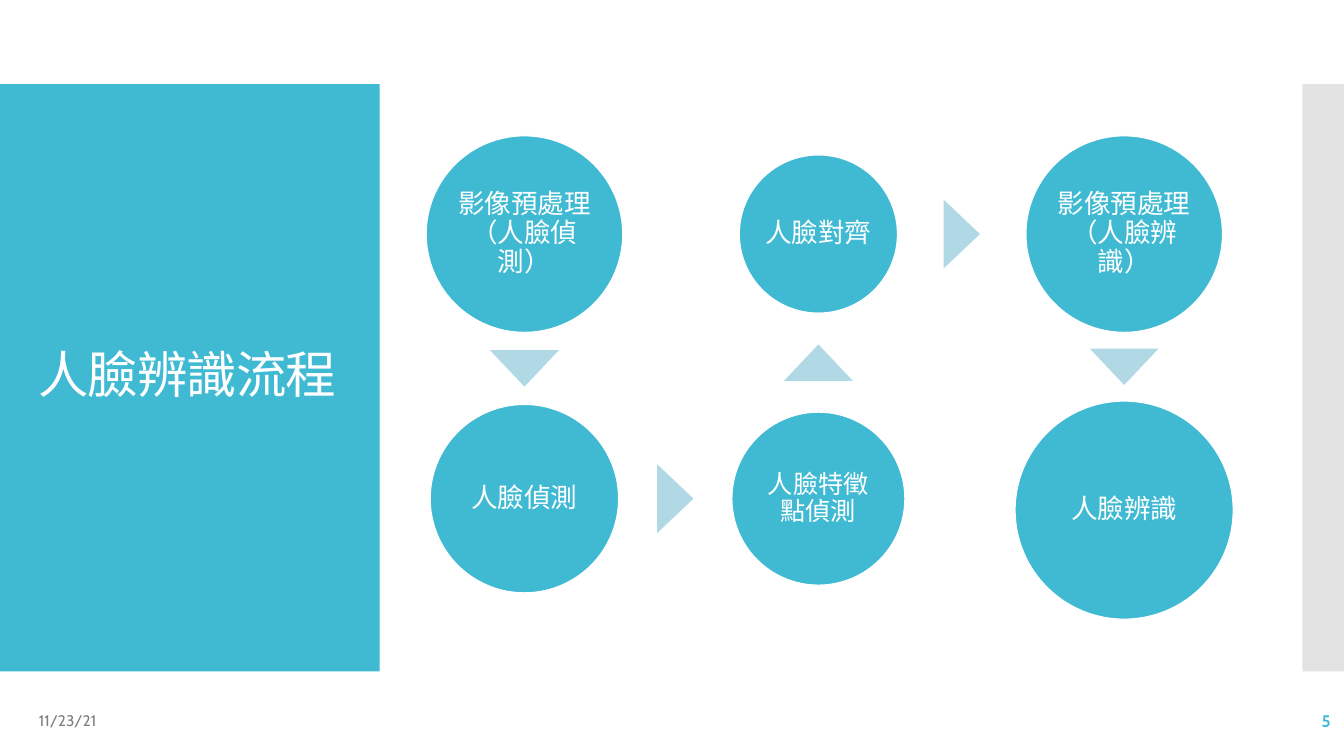
import pptx
import pptx.util
import pptx.dml.color
import pptx.enum.shapes
import pptx.enum.text
import pptx.oxml.ns
import lxml.etree

Pt = pptx.util.Pt
Shape = pptx.enum.shapes.MSO_SHAPE
Align = pptx.enum.text.PP_ALIGN

# Content
TITLE = "人臉辨識流程"
DATE = "11/23/21"
PAGE_NUMBER = "5"
# Steps in flow order: text, column, row, diameter, type size, inset
STEPS = [
    ("影像預處理\n（人臉偵測）", 0, 0, 140.4, 19, 2),
    ("人臉偵測", 0, 1, 134.6, 19, 2),
    ("人臉特徵點偵測", 1, 1, 123.6, 18, 3.5),
    ("人臉對齊", 1, 0, 113, 19, 2),
    ("影像預處理\n（人臉辨識）", 2, 0, 140.4, 19, 2),
    ("人臉辨識", 2, 1, 155.8, 19, 2),
]


class Theme:
    font = "Cabin"
    accent = "40BAD2"
    arrow = "B0D9E5"
    side = "C8C8C8"
    white = "FFFFFF"
    muted = "808080"
    title_size, date_size, number_size = 36, 11, 12


# Layout, in points
PAGE_WIDTH, PAGE_HEIGHT = 960, 540
PANEL_TOP, PANEL_HEIGHT = 60, 419.5
COLUMN_CENTERS = (374.6, 584.6, 803)
ROW_CENTERS = (167.2, 356.2)
LAST_CENTER = 364.4
ARROW_WIDTH, ARROW_HEIGHT = 49.2, 26


def color(value):
    return pptx.dml.color.RGBColor.from_string(value)


def add_shape(page, kind, left, top, width, height, fill):
    shape = page.shapes.add_shape(kind, Pt(left), Pt(top), Pt(width), Pt(height))
    shape.shadow.inherit = False
    shape.fill.solid()
    shape.fill.fore_color.rgb = color(fill)
    shape.line.fill.background()
    return shape


def write(box, text, size, fill, align=Align.LEFT, bold=False, spacing=1.0):
    frame = box.text_frame
    frame.word_wrap = True
    frame.auto_size = pptx.enum.text.MSO_AUTO_SIZE.NONE
    frame.vertical_anchor = pptx.enum.text.MSO_ANCHOR.MIDDLE
    para = frame.paragraphs[0]
    para.text = text
    para.alignment = align
    para.line_spacing = spacing
    for span in para.runs:
        span.font.name = Theme.font
        span.font.size = Pt(size)
        span.font.bold = bold
        span.font.color.rgb = color(fill)
    return para


def add_panels(page):
    title = page.shapes.title
    title.left, title.top, title.width, title.height = Pt(20), Pt(88.5), Pt(232), Pt(362)
    para = write(title, TITLE, Theme.title_size, Theme.white, spacing=0.9)
    for span in para.runs:
        span.font._element.set("spc", "-60")

    # Coloured panels sit behind the title
    panel = add_shape(page, Shape.RECTANGLE, 0, PANEL_TOP, 271.2, PANEL_HEIGHT, Theme.accent)
    side = add_shape(page, Shape.RECTANGLE, 930.2, PANEL_TOP, 29.8, PANEL_HEIGHT, Theme.side)
    side_color = side.element.find(".//" + pptx.oxml.ns.qn("a:srgbClr"))
    lxml.etree.SubElement(side_color, pptx.oxml.ns.qn("a:alpha")).set("val", "50000")
    for shape in (panel, side):
        title.element.addprevious(shape.element)


def step_center(step):
    column, row = step[1:3]
    y = LAST_CENTER if step is STEPS[-1] else ROW_CENTERS[row]
    return COLUMN_CENTERS[column], y


def add_step(page, step):
    text, _, _, diameter, size, inset = step
    x, y = step_center(step)
    circle = add_shape(page, Shape.OVAL, x - diameter / 2, y - diameter / 2,
                       diameter, diameter, Theme.accent)
    circle.line.color.rgb = color(Theme.white)
    circle.line.width = Pt(0.85)
    frame = circle.text_frame
    frame.margin_left = frame.margin_right = Pt(inset)
    frame.margin_top = frame.margin_bottom = Pt(inset)
    write(circle, text, size, Theme.white, Align.CENTER, spacing=0.9)


def add_arrow(page, start, end):
    """Centre a triangle in the gap between two neighbouring circles."""
    (x1, y1), (x2, y2) = step_center(start), step_center(end)
    shift = (start[3] - end[3]) / 4
    if start[1] == end[1]:
        direction = 1 if y2 > y1 else -1
        x, y = x1, (y1 + y2) / 2 + direction * shift
        rotation = 180 if direction > 0 else 0
    else:
        x, y, rotation = (x1 + x2) / 2 + shift, y1, 90
    arrow = add_shape(page, Shape.ISOSCELES_TRIANGLE, x - ARROW_WIDTH / 2,
                      y - ARROW_HEIGHT / 2, ARROW_WIDTH, ARROW_HEIGHT, Theme.arrow)
    arrow.rotation = rotation


def add_footer(page):
    date = page.shapes.add_textbox(Pt(20.7), Pt(500.5), Pt(216), Pt(28.8))
    write(date, DATE, Theme.date_size, Theme.muted)
    number = page.shapes.add_textbox(Pt(837.5), Pt(500.5), Pt(120), Pt(28.8))
    write(number, PAGE_NUMBER, Theme.number_size, Theme.accent, Align.RIGHT, bold=True)


def main():
    deck = pptx.Presentation()
    deck.slide_width, deck.slide_height = Pt(PAGE_WIDTH), Pt(PAGE_HEIGHT)
    page = deck.slides.add_slide(deck.slide_layouts[5])
    add_panels(page)
    # Flow of steps
    for step in STEPS:
        add_step(page, step)
    for start, end in zip(STEPS, STEPS[1:]):
        add_arrow(page, start, end)
    add_footer(page)
    deck.save("out.pptx")


if __name__ == "__main__":
    main()
